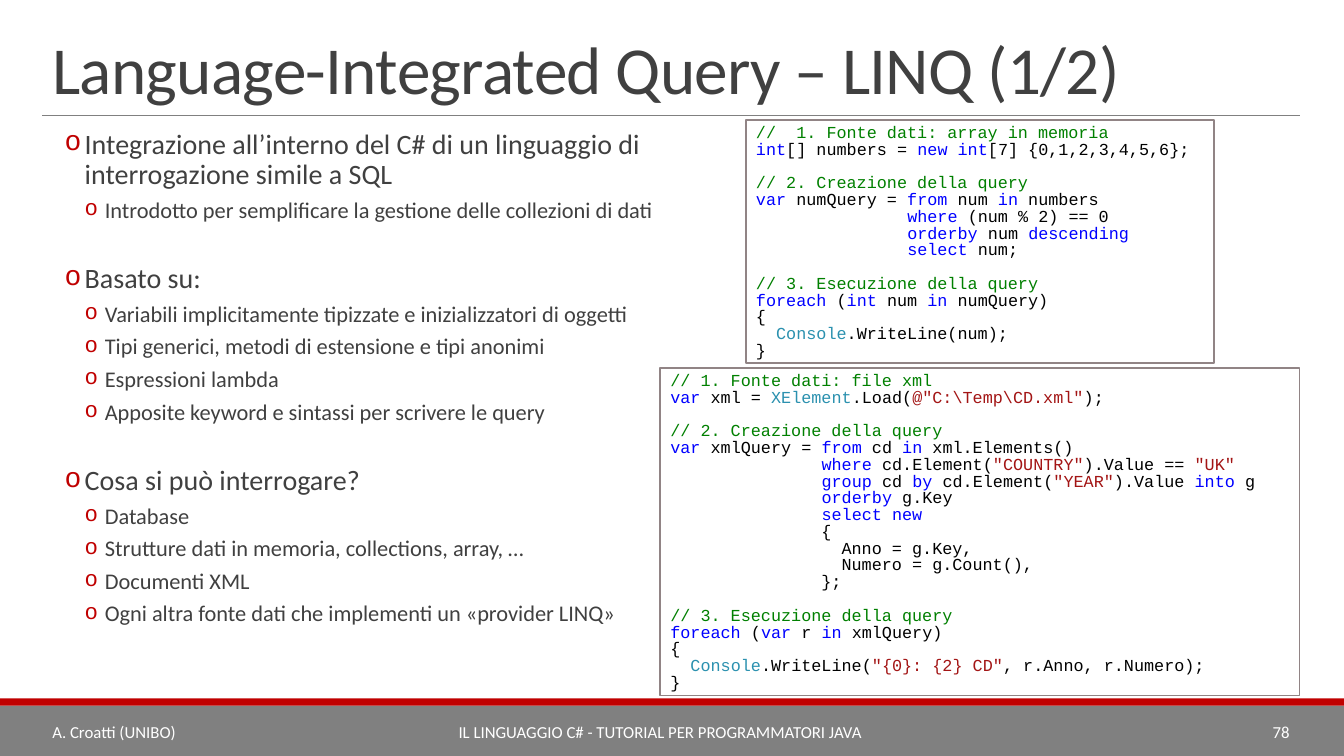
from lxml import etree
from pptx import Presentation
from pptx.dml.color import RGBColor
from pptx.enum.shapes import MSO_CONNECTOR, MSO_SHAPE
from pptx.enum.text import MSO_ANCHOR, PP_ALIGN
from pptx.oxml.ns import qn
from pptx.util import Inches, Pt

WHITE = RGBColor(0xFF, 0xFF, 0xFF)
BLACK = RGBColor(0, 0, 0)
GREY = RGBColor(0x80, 0x80, 0x80)
DARK = RGBColor(0x40, 0x40, 0x40)
RED = RGBColor(0xC0, 0, 0)
BORDER = RGBColor(0x91, 0x84, 0x85)
COMMENT = RGBColor(0, 0x80, 0)
KEYWORD = RGBColor(0, 0, 0xFF)
TYPE = RGBColor(0x2B, 0x91, 0xAF)
STRING = RGBColor(0xA3, 0x15, 0x15)

KEYWORDS = {"int", "new int", "var", "from", "in", "where", "orderby", "descending",
            "select", "select new", "foreach", "group", "by", "into"}
TYPES = {"Console", "XElement"}

TOPICS = [
    ("Integrazione all’interno del C# di un linguaggio di interrogazione simile a SQL", [
        "Introdotto per semplificare la gestione delle collezioni di dati"]),
    ("Basato su:", [
        "Variabili implicitamente tipizzate e inizializzatori di oggetti",
        "Tipi generici, metodi di estensione e tipi anonimi",
        "Espressioni lambda",
        "Apposite keyword e sintassi per scrivere le query"]),
    ("Cosa si può interrogare?", [
        "Database",
        "Strutture dati in memoria, collections, array, …",
        "Documenti XML",
        "Ogni altra fonte dati che implementi un «provider LINQ»"]),
]

ARRAY_CODE = r"""//  1. Fonte dati: array in memoria
int|[] numbers = |new int|[7] {0,1,2,3,4,5,6};

// 2. Creazione della query
var| numQuery = |from| num |in| numbers
               |where| (num % 2) == 0
               |orderby| num |descending
               |select| num;

// 3. Esecuzione della query
foreach| (|int| num |in| numQuery)
{
  |Console|.WriteLine(num);
}"""

XML_CODE = r"""// 1. Fonte dati: file xml
var| xml = |XElement|.Load(|@"C:\Temp\CD.xml"|);

// 2. Creazione della query
var| xmlQuery = |from| cd |in| xml.Elements()
               |where| cd.Element(|"COUNTRY"|).Value == |"UK"
               |group| cd |by| cd.Element(|"YEAR"|).Value |into| g
               |orderby| g.Key
               |select new
               {
                 Anno = g.Key,
                 Numero = g.Count(),
               };

// 3. Esecuzione della query
foreach| (|var| r |in| xmlQuery)
{
  |Console|.WriteLine(|"{0}: {2} CD"|, r.Anno, r.Numero);
}"""


def write(para, text, size=12, font="Calibri", colour=WHITE):
    span = para.add_run()
    span.text = text
    span.font.size = Pt(size)
    span.font.name = font
    span.font.color.rgb = colour
    return span


def token_colour(token):
    if token.startswith("//"):
        return COMMENT
    if token.startswith(('"', '@"')):
        return STRING
    if token in KEYWORDS:
        return KEYWORD
    return TYPE if token in TYPES else BLACK


deck = Presentation()
deck.slide_width = Inches(13.33)
deck.slide_height = Inches(7.5)
page = deck.slides.add_slide(deck.slide_layouts[6])

for top, height, colour in [(7, 0.5, GREY), (6.93, 0.07, RED)]:
    band = page.shapes.add_shape(MSO_SHAPE.RECTANGLE, 0, Inches(top),
                                 deck.slide_width, Inches(height))
    band.shadow.inherit = False
    band.fill.solid()
    band.fill.fore_color.rgb = colour
    band.line.fill.background()

rule = page.shapes.add_connector(MSO_CONNECTOR.STRAIGHT, Inches(0.42), Inches(1.14),
                                 Inches(12.89), Inches(1.14))
rule.line.color.rgb = GREY
rule.line.width = Pt(0.5)
etree.SubElement(rule.element.spPr, qn("a:effectLst"))

title = page.shapes.add_textbox(Inches(0.42), Inches(0.31), Inches(12.47), Inches(0.81))
title.text_frame.word_wrap = True
title.text_frame.vertical_anchor = MSO_ANCHOR.BOTTOM
para = title.text_frame.paragraphs[0]
para.line_spacing = 0.85
span = write(para, "Language-Integrated Query – LINQ (1/2)", size=48, colour=DARK)
span.font._element.set("spc", "-50")

body = page.shapes.add_textbox(Inches(0.42), Inches(1.24), Inches(6.73), Inches(5.16))
frame = body.text_frame
frame.word_wrap = True
frame.margin_left = frame.margin_right = 0
for number, (heading, details) in enumerate(TOPICS):
    for position, text in enumerate([heading] + details):
        first = number == position == 0
        para = frame.paragraphs[0] if first else frame.add_paragraph()
        para.level = 1 if position else 0
        para.line_spacing = 0.9
        para.space_before = Pt(0 if first else 2 if position else 25.5)
        para.space_after = Pt(4)
        properties = para._p.get_or_add_pPr()
        properties.set("marL", str(Inches(0.62 if position else 0.42)))
        properties.set("indent", str(Inches(-0.2)))
        bullet_colour = etree.SubElement(properties, qn("a:buClr"))
        etree.SubElement(bullet_colour, qn("a:srgbClr"), val=str(RED))
        etree.SubElement(properties, qn("a:buFont"), typeface="Courier New")
        etree.SubElement(properties, qn("a:buChar"), char="o")
        write(para, text, size=16 if position else 20, colour=DARK)

for code, left, top, width, height in [(ARRAY_CODE, 7.4, 1.19, 4.64, 2.41),
                                       (XML_CODE, 6.55, 3.65, 6.34, 3.25)]:
    box = page.shapes.add_shape(MSO_SHAPE.RECTANGLE, Inches(left), Inches(top),
                                Inches(width), Inches(height))
    box.shadow.inherit = False
    box.fill.solid()
    box.fill.fore_color.rgb = WHITE
    box.line.color.rgb = BORDER
    box.line.width = Pt(1.25)
    frame = box.text_frame
    frame.word_wrap = True
    frame.vertical_anchor = MSO_ANCHOR.TOP
    frame.margin_bottom = 0
    para = frame.paragraphs[0]
    for step, section in enumerate(code.split("\n\n")):
        for row, line in enumerate(section.split("\n")):
            if step or row:
                para = frame.add_paragraph()
            para.alignment = PP_ALIGN.LEFT
            para.line_spacing = Pt(12)
            para.space_before = Pt(12 if step and not row else 0)
            for token in line.split("|"):
                write(para, token, font="Courier New", colour=token_colour(token))

for text, left, width, alignment in [
        ("A. Croatti (UNIBO)", 0.42, 1.85, PP_ALIGN.LEFT),
        ("IL LINGUAGGIO C# - TUTORIAL PER PROGRAMMATORI JAVA", 2.27, 8.56, PP_ALIGN.CENTER),
        ("78", 10.83, 2.06, PP_ALIGN.RIGHT)]:
    footer = page.shapes.add_textbox(Inches(left), Inches(7.06), Inches(width), Inches(0.4))
    footer.text_frame.word_wrap = True
    footer.text_frame.vertical_anchor = MSO_ANCHOR.MIDDLE
    para = footer.text_frame.paragraphs[0]
    para.alignment = alignment
    write(para, text)

deck.save("out.pptx")
